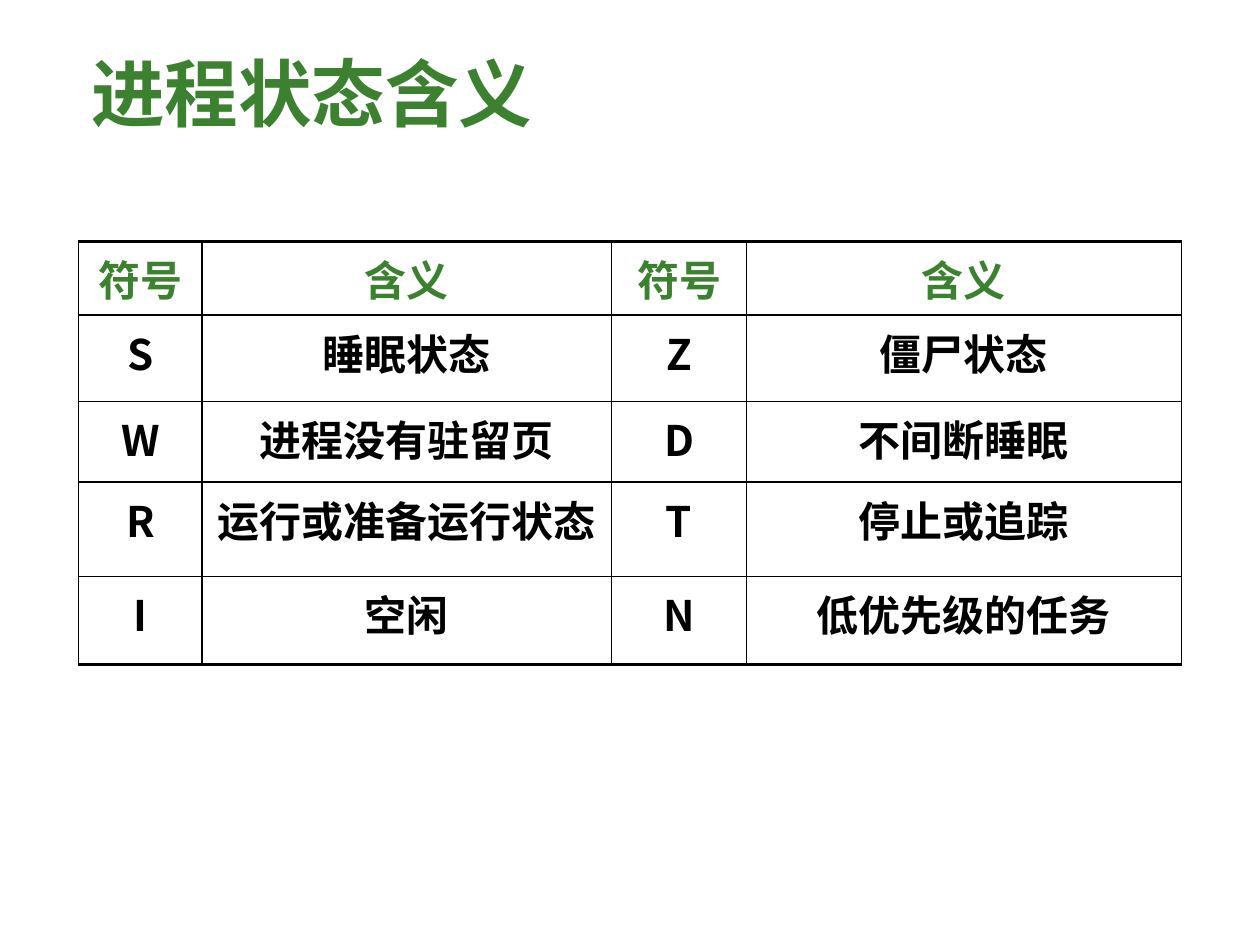
from lxml.etree import SubElement
from pptx import Presentation
from pptx.dml.color import RGBColor
from pptx.enum.text import MSO_ANCHOR, PP_ALIGN
from pptx.oxml.ns import qn
from pptx.util import Pt

HUES = {"green": "3B812F", "black": "000000"}
FONT = "Noto Sans CJK SC"
COLS = [70.5, 234, 77, 248.5]
ROWS = [42, 49.5, 46, 54, 50]
DATA = [
    ["符号", "含义", "符号", "含义"],
    ["S", "睡眠状态", "Z", "僵尸状态"],
    ["W", "进程没有驻留页", "D", "不间断睡眠"],
    ["R", "运行或准备运行状态", "T", "停止或追踪"],
    ["I", "空闲", "N", "低优先级的任务"],
]


def style(para, size, face, hue):
    for run in para.runs:
        run.font.size = Pt(size)
        run.font.bold = True
        run.font.name = face
        run.font.color.rgb = RGBColor.from_string(HUES[hue])
        SubElement(run.font._element, qn("a:ea"), typeface=FONT)


def border(cell, side, width):
    line = SubElement(cell._tc.get_or_add_tcPr(), qn("a:" + side), w=str(Pt(width)))
    fill = SubElement(line, qn("a:solidFill"))
    SubElement(fill, qn("a:srgbClr"), val=HUES["black"])


deck = Presentation()
deck.slide_width, deck.slide_height = Pt(720), Pt(540)
slide = deck.slides.add_slide(deck.slide_layouts[5])

# Title
title = slide.shapes.title
title.left, title.top, title.width, title.height = Pt(45), Pt(24), Pt(630), Pt(96)
frame = title.text_frame
frame.text = "进程状态含义"
frame.vertical_anchor = MSO_ANCHOR.TOP
frame.paragraphs[0].alignment = PP_ALIGN.LEFT
style(frame.paragraphs[0], 42, "Times New Roman", "green")

# Table of process states
table = slide.shapes.add_table(
    len(ROWS), len(COLS), Pt(45), Pt(138), Pt(sum(COLS)), Pt(sum(ROWS))
).table
table.horz_banding = False
for col, width in zip(table.columns, COLS):
    col.width = Pt(width)
for row, height in zip(table.rows, ROWS):
    row.height = Pt(height)

# Cells: thick top and bottom edges, thin outer sides
for r, words in enumerate(DATA):
    for c, word in enumerate(words):
        cell = table.cell(r, c)
        cell.text_frame.text = word
        para = cell.text_frame.paragraphs[0]
        para.alignment = PP_ALIGN.CENTER
        props = para._p.get_or_add_pPr()
        props.set("marL", str(Pt(36.75)))
        props.set("indent", str(Pt(-36.75)))
        style(para, 24, FONT, "green" if r == 0 else "black")
        border(cell, "lnL", 0.75 if c == 0 else 1)
        border(cell, "lnR", 0.75 if c == len(COLS) - 1 else 1)
        border(cell, "lnT", 2 if r == 0 else 1)
        border(cell, "lnB", 2 if r == len(ROWS) - 1 else 1)
        cell.fill.background()

deck.save("out.pptx")
